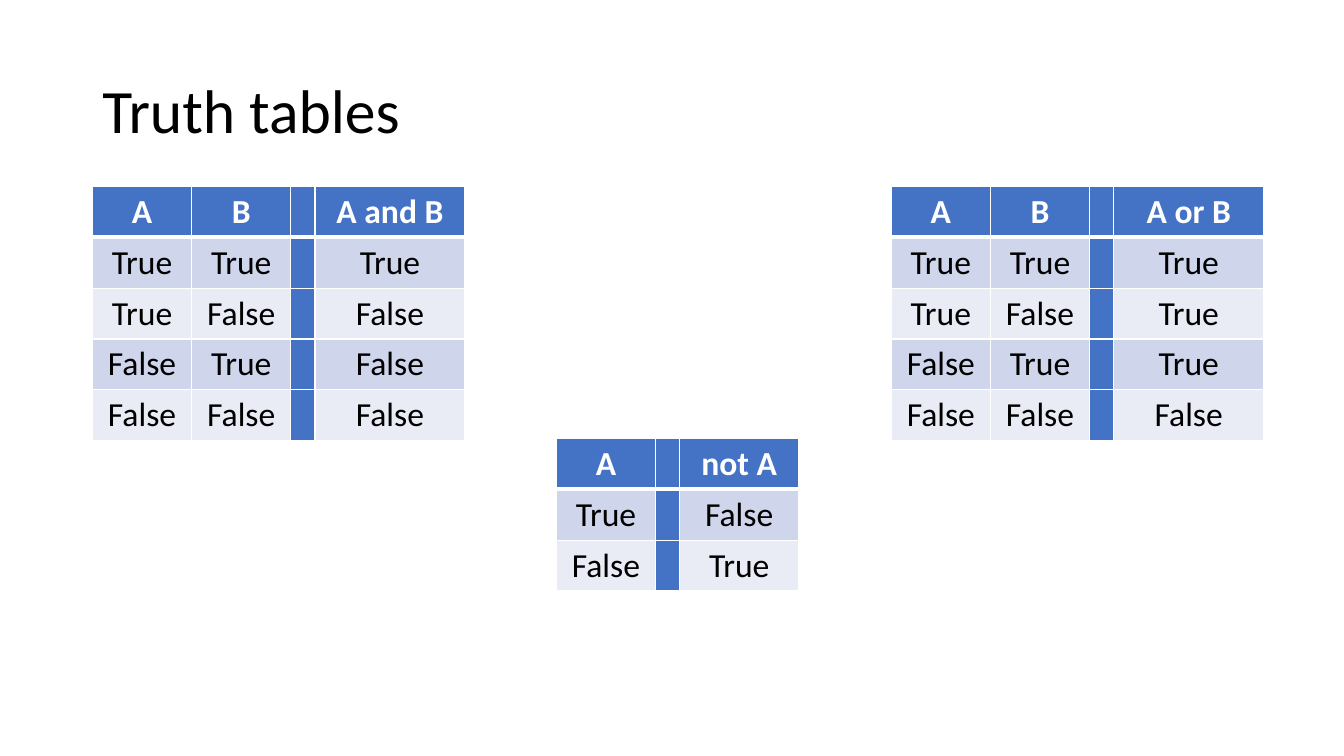
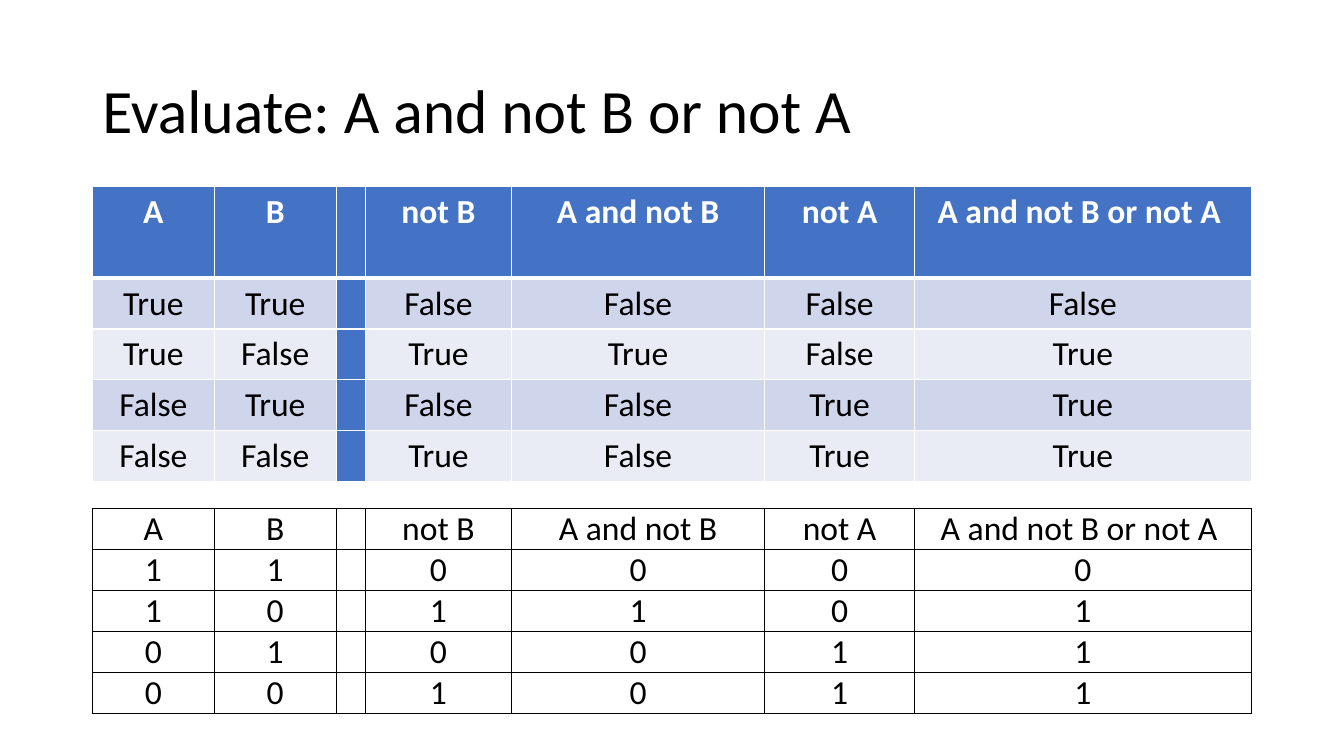
"""Build two slides of truth tables."""

from dataclasses import dataclass
from itertools import product
from typing import Callable, Optional

from lxml import etree
from pptx import Presentation
from pptx.dml.color import RGBColor
from pptx.enum.text import MSO_ANCHOR, PP_ALIGN
from pptx.oxml.ns import qn
from pptx.presentation import Presentation as Deck
from pptx.slide import Slide
from pptx.table import _Cell
from pptx.text.text import _Paragraph
from pptx.util import Cm, Pt

CENTER = PP_ALIGN.CENTER
MIDDLE = MSO_ANCHOR.MIDDLE

BLACK = RGBColor(0x00, 0x00, 0x00)
WHITE = RGBColor(0xFF, 0xFF, 0xFF)
BLUE = RGBColor(0x44, 0x72, 0xC4)
BANDS = (RGBColor(0xCF, 0xD5, 0xEA), RGBColor(0xE9, 0xEB, 0xF5))

FONT = "Calibri"
TITLE_SIZE = 44
CELL_SIZE = 24
BLANK_LAYOUT = 6

PAGE_WIDTH = 33.87
PAGE_HEIGHT = 19.05
MARGIN = 2.33
CONTENT_WIDTH = PAGE_WIDTH - 2 * MARGIN
TABLE_TOP = 4.7


@dataclass(frozen=True)
class Column:
    """A table column; one without a rule is a divider."""

    label: str
    width: float
    rule: Optional[Callable[..., bool]] = None


@dataclass(frozen=True)
class Style:
    """The look of a truth table."""

    words: tuple[str, str]
    row_height: float
    line: RGBColor
    header_color: RGBColor
    header_rule: float
    filled: bool
    padded: bool


@dataclass(frozen=True)
class TruthTable:
    """A truth table and its place on the page."""

    left: float
    top: float
    inputs: int
    columns: tuple[Column, ...]
    style: Style
    header_height: float

    @property
    def width(self) -> float:
        """Return the sum of the column widths."""
        return sum(column.width for column in self.columns)


BANDED = Style(("False", "True"), 1.28, WHITE, WHITE, 3, True, True)
GRID = Style(("0", "1"), 1.03, BLACK, BLACK, 1, False, False)


def input_a(width: float) -> Column:
    """Return the column of the first input."""
    return Column("A", width, lambda a, *_: a)


def input_b(width: float) -> Column:
    """Return the column of the second input."""
    return Column("B", width, lambda a, b: b)


def not_a(width: float) -> Column:
    """Return the column that negates the first input."""
    return Column("not A", width, lambda a, *_: not a)


def operator_columns(label: str, rule: Callable[..., bool]) -> tuple[Column, ...]:
    """Return the columns of a table for one two-input operator."""
    return input_a(2.5), input_b(2.5), Column("", 0.3), Column(label, 3.78, rule)


AND_COLUMNS = operator_columns("A and B", lambda a, b: a and b)
OR_COLUMNS = operator_columns("A or B", lambda a, b: a or b)
OR_LEFT = PAGE_WIDTH - MARGIN - sum(column.width for column in OR_COLUMNS)
NOT_COLUMNS = (input_a(2.5), Column("", 0.3), not_a(3))
EXPRESSION_COLUMNS = (
    input_a(3.07),
    input_b(3.07),
    Column("", 0.74),
    Column("not B", 3.68, lambda a, b: not b),
    Column("A and not B", 6.38, lambda a, b: a and not b),
    not_a(3.78),
    Column("A and not B or not A ", 8.48, lambda a, b: a and not b or not a),
)

PAGES = (
    (
        "Truth tables",
        (
            TruthTable(MARGIN, TABLE_TOP, 2, AND_COLUMNS, BANDED, 1.28),
            TruthTable(14.02, 11.05, 1, NOT_COLUMNS, BANDED, 1.28),
            TruthTable(OR_LEFT, TABLE_TOP, 2, OR_COLUMNS, BANDED, 1.28),
        ),
    ),
    (
        "Evaluate: A and not B or not A",
        (
            TruthTable(MARGIN, TABLE_TOP, 2, EXPRESSION_COLUMNS, BANDED, 2.31),
            TruthTable(MARGIN, 12.82, 2, EXPRESSION_COLUMNS, GRID, 1.03),
        ),
    ),
)


def format_spans(para: _Paragraph, size: float, color: RGBColor, bold: bool) -> None:
    """Set the font of every run in a paragraph."""
    for span in para.runs:
        span.font.name = FONT
        span.font.size = Pt(size)
        span.font.color.rgb = color
        span.font.bold = bold


def add_title(page: Slide, text: str) -> None:
    """Add the slide title."""
    box = page.shapes.add_textbox(Cm(MARGIN), Cm(1.01), Cm(CONTENT_WIDTH), Cm(3.68))
    frame = box.text_frame
    frame.word_wrap = True
    frame.vertical_anchor = MIDDLE
    frame.text = text
    para = frame.paragraphs[0]
    para.line_spacing = 0.9
    format_spans(para, TITLE_SIZE, BLACK, False)


def set_borders(cell: _Cell, color: RGBColor, top: float, bottom: float) -> None:
    """Draw the four borders of a cell, with widths in points."""
    properties = cell._tc.get_or_add_tcPr()
    for tag, width in (("a:lnL", 1), ("a:lnR", 1), ("a:lnT", top), ("a:lnB", bottom)):
        line = etree.SubElement(properties, qn(tag), w=str(Pt(width)))
        fill = etree.SubElement(line, qn("a:solidFill"))
        etree.SubElement(fill, qn("a:srgbClr"), val=str(color))


def draw_cell(cell: _Cell, text: str, row: int, divider: bool, style: Style) -> None:
    """Fill in and format one cell."""
    header = row == 0
    set_borders(
        cell,
        style.line,
        top=style.header_rule if row == 1 else 1,
        bottom=style.header_rule if header else 1,
    )
    if style.filled:
        cell.fill.solid()
        cell.fill.fore_color.rgb = BLUE if header or divider else BANDS[(row - 1) % 2]
    else:
        cell.fill.background()
    if not style.padded:
        cell.margin_left = cell.margin_right = 0
        cell.margin_top = cell.margin_bottom = 0
    cell.text_frame.text = text
    para = cell.text_frame.paragraphs[0]
    para.alignment = CENTER
    color = style.header_color if header else BLACK
    format_spans(para, CELL_SIZE, color, header and style.filled)


def draw_table(page: Slide, truth: TruthTable) -> None:
    """Work out a truth table and add it to the page."""
    style = truth.style
    lines = [[column.label for column in truth.columns]]
    for values in product((True, False), repeat=truth.inputs):
        lines.append(
            [
                style.words[column.rule(*values)] if column.rule else ""
                for column in truth.columns
            ]
        )
    height = truth.header_height + style.row_height * (len(lines) - 1)
    table = page.shapes.add_table(
        len(lines),
        len(truth.columns),
        Cm(truth.left),
        Cm(truth.top),
        Cm(truth.width),
        Cm(height),
    ).table
    table.first_row = False
    table.horz_banding = False
    for index, column in enumerate(truth.columns):
        table.columns[index].width = Cm(column.width)
    for row, texts in enumerate(lines):
        table.rows[row].height = Cm(style.row_height if row else truth.header_height)
        for index, text in enumerate(texts):
            divider = truth.columns[index].rule is None
            draw_cell(table.cell(row, index), text, row, divider, style)


def build_page(deck: Deck, title: str, tables: tuple[TruthTable, ...]) -> None:
    """Add one slide with its title and tables."""
    page = deck.slides.add_slide(deck.slide_layouts[BLANK_LAYOUT])
    add_title(page, title)
    for truth in tables:
        draw_table(page, truth)


def main() -> None:
    """Build and save the deck."""
    deck = Presentation()
    deck.slide_width = Cm(PAGE_WIDTH)
    deck.slide_height = Cm(PAGE_HEIGHT)
    for title, tables in PAGES:
        build_page(deck, title, tables)
    deck.save("out.pptx")


if __name__ == "__main__":
    main()
